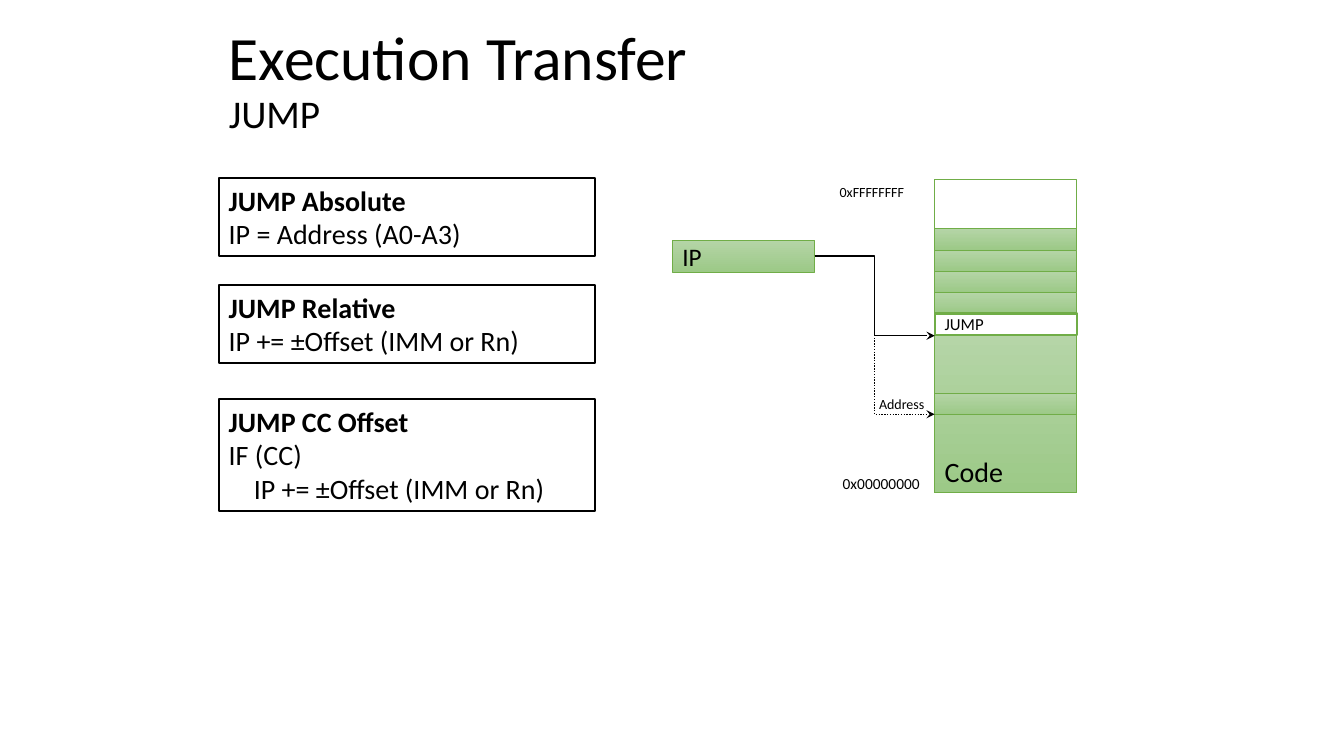
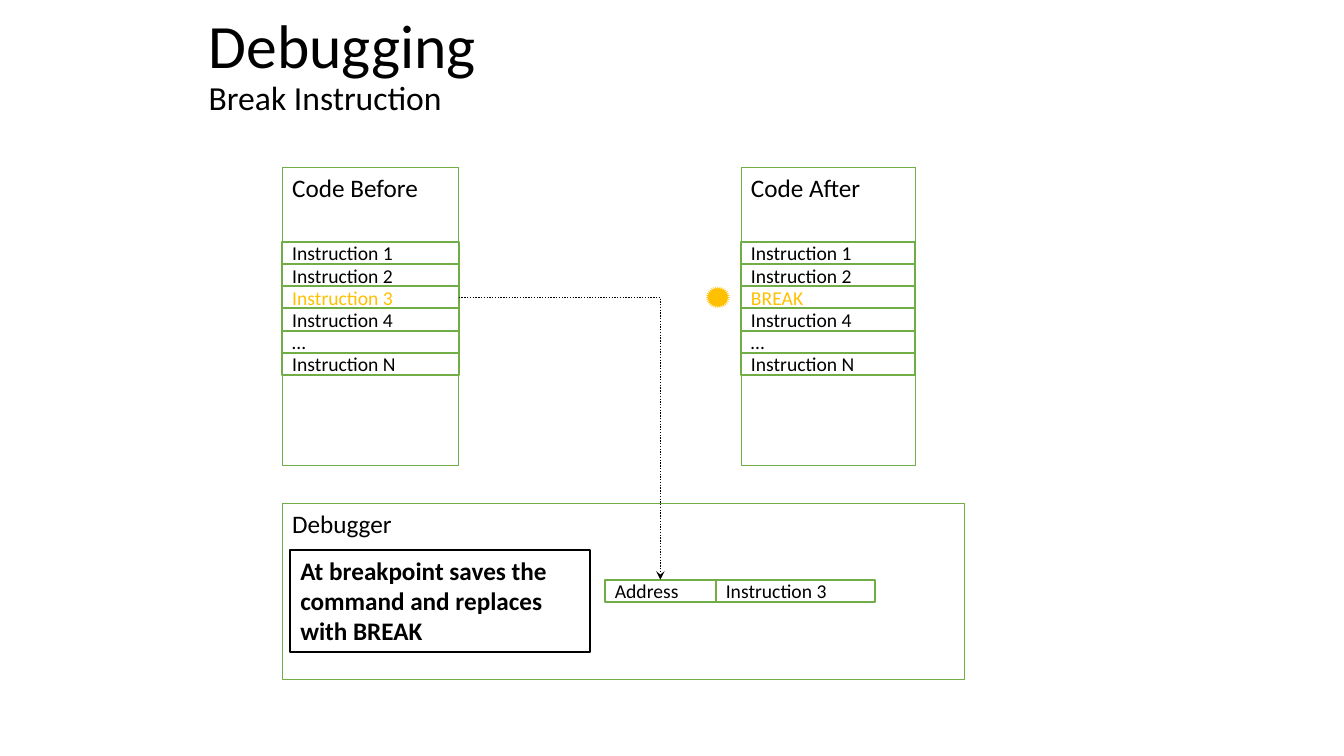
from collections import namedtuple

from lxml.etree import SubElement
from pptx import Presentation
from pptx.dml.color import RGBColor
from pptx.enum.dml import MSO_LINE
from pptx.enum.shapes import MSO_CONNECTOR, MSO_SHAPE
from pptx.enum.text import MSO_ANCHOR, MSO_AUTO_SIZE, PP_ALIGN
from pptx.oxml.ns import qn
from pptx.util import Inches, Pt

BLACK = "000000"
GREEN = "70AD47"
AMBER = "FFC000"
GRADIENT = ("B5D5A7", "9CC987")
FRAME_FORMAT = {"word_wrap": True, "auto_size": MSO_AUTO_SIZE.NONE}
FONT_FORMAT = {"name": "Calibri", "bold": False}
ROW_HEIGHT = 0.22

Box = namedtuple("Box", "left top width height")


def color(value):
    return RGBColor.from_string(value)


def apply_format(target, values):
    for name, value in values.items():
        setattr(target, name, value)


def inches(box):
    return [Inches(length) for length in box]


def style_span(span, size, hue=BLACK, bold=False):
    apply_format(span.font, {**FONT_FORMAT, "size": Pt(size), "bold": bold})
    span.font.color.rgb = color(hue)


def write(shape, lines, size, hue=BLACK, anchor=MSO_ANCHOR.TOP, bold_first=False, indents=()):
    frame = shape.text_frame
    apply_format(frame, {**FRAME_FORMAT, "vertical_anchor": anchor})
    for index, line in enumerate(lines):
        para = frame.paragraphs[0] if index == 0 else frame.add_paragraph()
        para.alignment = PP_ALIGN.LEFT
        if index < len(indents) and indents[index]:
            para._p.get_or_add_pPr().set("marL", str(Inches(indents[index])))
        span = para.add_run()
        span.text = line
        style_span(span, size, hue, bold_first and index == 0)


def add_panel(page, box, line=GREEN, weight=0.5, gradient=False):
    panel = page.shapes.add_shape(MSO_SHAPE.RECTANGLE, *inches(box))
    panel.shadow.inherit = False
    panel.line.color.rgb = color(line)
    panel.line.width = Pt(weight)
    if gradient:
        panel.fill.gradient()
        panel.fill.gradient_angle = 270
        for stop, hue in zip(panel.fill.gradient_stops, GRADIENT):
            stop.color.rgb = color(hue)
    else:
        panel.fill.background()
    return panel


def add_cell(page, box, text, size=14, hue=BLACK):
    cell = add_panel(page, box, weight=1.5)
    write(cell, [text], size, hue, MSO_ANCHOR.MIDDLE)
    return cell


def add_note(page, box, lines, size, indents=()):
    note = add_panel(page, box, BLACK, 1.5)
    write(note, lines, size, bold_first=True, indents=indents)


def add_label(page, box, text, size):
    label = page.shapes.add_textbox(*inches(box))
    write(label, [text], size)


def add_arrow(page, start, end, dotted=False):
    arrow = page.shapes.add_connector(MSO_CONNECTOR.ELBOW, *inches(start + end))
    arrow.line.color.rgb = color(BLACK)
    arrow.line.width = Pt(1)
    if dotted:
        arrow.line.dash_style = MSO_LINE.ROUND_DOT
    SubElement(arrow.line._get_or_add_ln(), qn("a:tailEnd"), type="stealth")
    SubElement(arrow._element.spPr, qn("a:effectLst"))
    return arrow


def add_page(deck, box, title, subtitle, subtitle_size):
    page = deck.slides.add_slide(deck.slide_layouts[5])
    heading = page.shapes.title
    apply_format(heading, dict(zip(Box._fields, inches(box))))
    frame = heading.text_frame
    apply_format(frame, {**FRAME_FORMAT, "vertical_anchor": MSO_ANCHOR.MIDDLE})
    para = frame.paragraphs[0]
    apply_format(para, {"alignment": PP_ALIGN.LEFT, "line_spacing": 0.9})
    for index, (text, size) in enumerate([(title, 44), (subtitle, subtitle_size)]):
        if index:
            para.add_line_break()
        span = para.add_run()
        span.text = text
        style_span(span, size)
    return page


def add_jump_notes(page, box):
    notes = [
        (0, 0.77, ["JUMP Absolute", "IP = Address (A0-A3)"], ()),
        (1.06, 0.77, ["JUMP Relative", "IP += ±Offset (IMM or Rn)"], ()),
        (2.19, 1.11, ["JUMP CC Offset", "IF (CC)", "IP += ±Offset (IMM or Rn)"], (0, 0, 0.25)),
    ]
    for offset, height, lines, indents in notes:
        add_note(page, Box(box.left, box.top + offset, box.width, height), lines, 20, indents)


def add_memory(page, box):
    row_height = 0.21

    def part(offset, height=row_height):
        return Box(box.left, box.top + offset, box.width, height)

    add_label(page, Box(box.left - 1.01, box.top + 2.87, 1.04, 0.29), "0x00000000", 11)
    add_label(page, Box(box.left - 0.65, box.top + 2.09, 0.78, 0.27), "Address", 10)
    add_label(page, Box(box.left - 1.04, box.top - 0.01, 1.04, 0.27), "0xFFFFFFFF", 10)
    pointer_box = Box(box.left - 2.6, box.top + 0.6, box.width, 0.32)
    pointer = add_panel(page, pointer_box, gradient=True)
    write(pointer, ["IP"], 18, anchor=MSO_ANCHOR.MIDDLE)

    add_panel(page, box)
    for index in range(4):
        add_panel(page, part(0.49 + index * row_height), gradient=True)
    code = add_panel(page, part(1.55, box.height - 1.55), gradient=True)
    write(code, ["Code"], 20, anchor=MSO_ANCHOR.BOTTOM)
    add_cell(page, part(0.49 + 4 * row_height), "JUMP", 12)
    add_panel(page, part(2.12), gradient=True)

    start = (pointer_box.left + pointer_box.width, pointer_box.top + pointer_box.height / 2)
    for offset, dotted in [(2.33, True), (1.55, False)]:
        add_arrow(page, start, (box.left, box.top + offset), dotted)


def add_code_listing(page, box, title, third):
    write(add_panel(page, box), [title], 18)
    rows = ["Instruction 1", "Instruction 2", third, "Instruction 4", "…", "Instruction N"]
    cells = []
    for index, text in enumerate(rows):
        row = Box(box.left, box.top + 0.74 + index * ROW_HEIGHT, box.width, ROW_HEIGHT)
        cells.append(add_cell(page, row, text, hue=AMBER if text == third else BLACK))
    return cells[2]


def add_breakpoint(page, box):
    marker = page.shapes.add_shape(MSO_SHAPE.STAR_32_POINT, *inches(box))
    marker.shadow.inherit = False
    marker.fill.solid()
    marker.fill.fore_color.rgb = color(AMBER)
    marker.line.fill.background()


def add_debugger(page, box):
    write(add_panel(page, box), ["Debugger"], 18)
    note = Box(box.left + 0.08, box.top + 0.47, 2.97, 1.01)
    add_note(page, note, ["At breakpoint saves the command and replaces with BREAK"], 18)
    address = Box(box.left + 3.2, box.top + 0.76, 1.1, ROW_HEIGHT)
    saved = address._replace(left=address.left + address.width, width=1.58)
    add_cell(page, saved, "Instruction 3")
    return add_cell(page, address, "Address")


def add_saved_arrow(page, source, target):
    arrow = add_arrow(page, (0, 0), (1, 1), dotted=True)
    arrow.begin_connect(source, 3)
    arrow.end_connect(target, 0)
    arrow._element.spPr.find(qn("a:prstGeom")).set("prst", "bentConnector2")


def build_jump_page(deck):
    page = add_page(deck, Box(2.17, 0.07, 9.5, 1.49), "Execution Transfer", "JUMP", 28)
    add_jump_notes(page, Box(2.17, 1.77, 3.73, 3.3))
    add_memory(page, Box(9.27, 1.78, 1.41, 3.11))


def build_debugging_page(deck):
    page = add_page(deck, Box(1.97, 0.06, 9.5, 1.2), "Debugging", "Break Instruction", 24)
    replaced = add_code_listing(page, Box(2.8, 1.66, 1.75, 2.96), "Code Before", "Instruction 3")
    add_code_listing(page, Box(7.35, 1.66, 1.73, 2.96), "Code After", "BREAK")
    add_breakpoint(page, Box(7, 2.84, 0.24, ROW_HEIGHT))
    address = add_debugger(page, Box(2.8, 4.99, 6.77, 1.75))
    add_saved_arrow(page, replaced, address)


def main():
    deck = Presentation()
    deck.slide_width = Inches(13.33)
    deck.slide_height = Inches(7.5)
    build_jump_page(deck)
    build_debugging_page(deck)
    deck.save("out.pptx")


if __name__ == "__main__":
    main()
